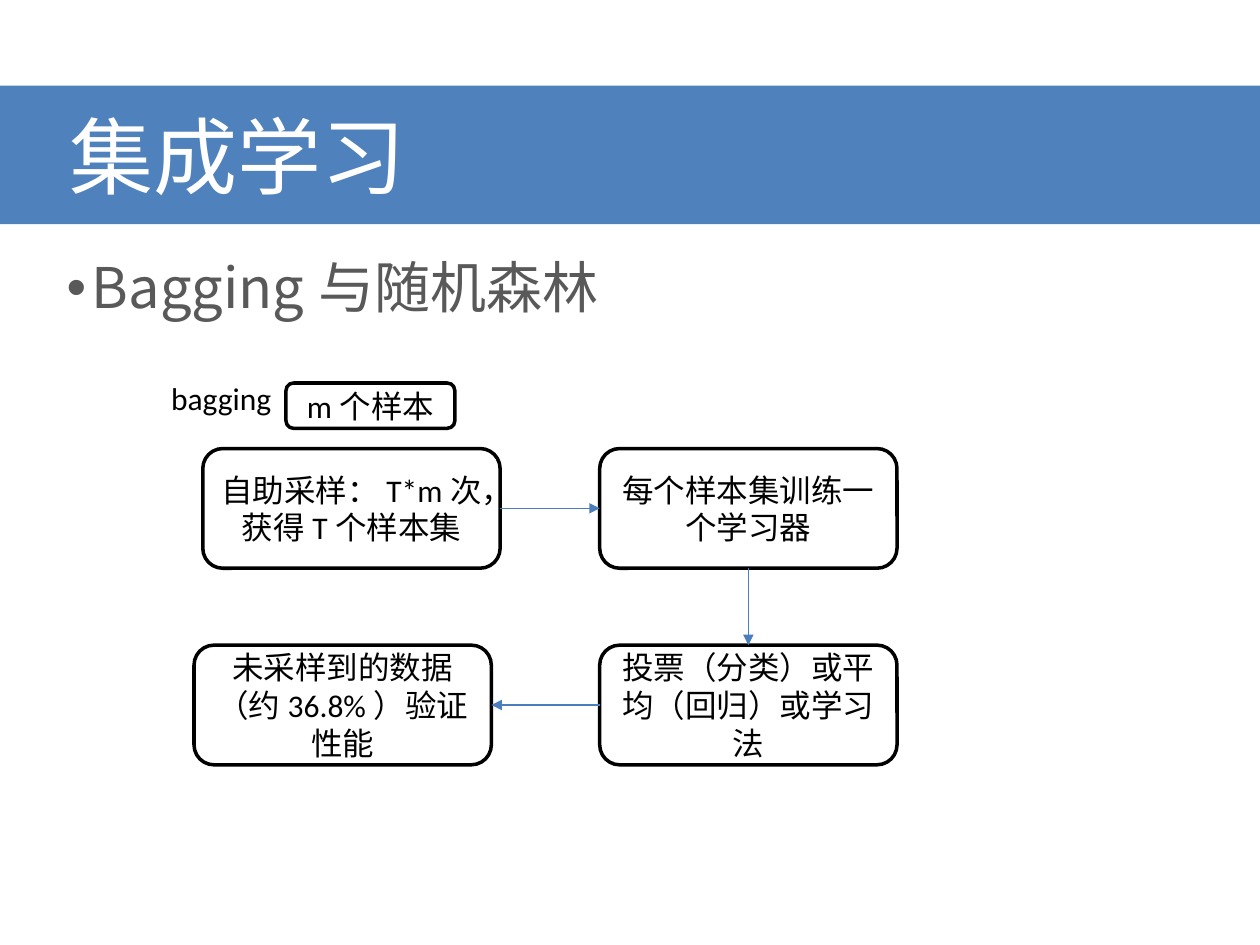
"""Build the ensemble learning slide with its bagging flow chart."""
from lxml.etree import SubElement
from pptx import Presentation
from pptx.dml.color import RGBColor
from pptx.enum.shapes import MSO_CONNECTOR as Line, MSO_SHAPE as Shape
from pptx.enum.text import MSO_ANCHOR as Anchor, PP_ALIGN as Align
from pptx.oxml.ns import qn
from pptx.util import Inches, Pt

WIDTH, HEIGHT = 10, 7.5
CJK_FONT, LATIN_FONT = "Noto Sans CJK SC", "Calibri"
BLUE, ARROW_BLUE, GREY, BLACK, WHITE = "4F81BD", "4B7EBC", "595959", "000000", "FFFFFF"

TITLE = "集成学习"
TOPIC = "Bagging与随机森林"
LABEL = "bagging"
SAMPLE = "m个样本"
COLUMNS, ROWS = (1.61, 4.76), (3.56, 5.12)
STEP_SIZE = (2.36, 0.95)
STEPS = {
    "sampling": ("自助采样：T*m次，获得T个样本集", 0, 0, 0),
    "training": ("每个样本集训练一个学习器", 1, 0, 0),
    "combining": ("投票（分类）或平均（回归）或学习法", 1, 1, 0),
    "validation": ("未采样到的数据（约36.8%）验证性能", 0, 1, -0.07),
}
TOP, LEFT, BOTTOM, RIGHT = range(4)
ARROWS = [
    ("sampling", RIGHT, "training", LEFT),
    ("training", BOTTOM, "combining", TOP),
    ("combining", LEFT, "validation", RIGHT),
]


def color(value):
    return RGBColor.from_string(value)


def write(shape, text, size=18, font=LATIN_FONT, ink=BLACK, align=Align.CENTER, **frame_format):
    frame = shape.text_frame
    settings = {"word_wrap": True, "vertical_anchor": Anchor.MIDDLE, **frame_format}
    for name, value in settings.items():
        setattr(frame, name, value)
    para = frame.paragraphs[0]
    para.alignment = align
    span = para.add_run()
    span.text = text
    for name, value in {"size": Pt(size), "name": font}.items():
        setattr(span.font, name, value)
    span.font.color.rgb = color(ink)
    SubElement(span.font._element, qn("a:ea"), typeface=CJK_FONT)
    return para


def add_box(page, kind, area, fill=None, outline=None):
    box = page.shapes.add_shape(kind, *map(Inches, area))
    box.shadow.inherit = False
    if fill:
        box.fill.solid()
        box.fill.fore_color.rgb = color(fill)
    else:
        box.fill.background()
    if outline:
        box.line.color.rgb = color(outline)
        box.line.width = Pt(2)
    else:
        box.line.fill.background()
    return box


def add_text(page, area, text, **options):
    box = page.shapes.add_textbox(*map(Inches, area))
    return write(box, text, align=Align.LEFT, **options)


def add_bullet(para):
    properties = para._p.get_or_add_pPr()
    indent = Inches(0.2)
    for name, value in {"marL": indent, "indent": -indent}.items():
        properties.set(name, str(value))
    SubElement(properties, qn("a:buFont"), typeface="Arial")
    SubElement(properties, qn("a:buChar"), char="•")


def add_arrow(page, start, start_side, end, end_side):
    arrow = page.shapes.add_connector(Line.STRAIGHT, 0, 0, 0, 0)
    arrow.begin_connect(start, start_side)
    arrow.end_connect(end, end_side)
    arrow.line.color.rgb = color(ARROW_BLUE)
    arrow.line.width = Pt(0.75)
    SubElement(arrow.line._get_or_add_ln(), qn("a:tailEnd"), type="triangle")
    SubElement(arrow._element.spPr, qn("a:effectLst"))


def main():
    deck = Presentation()
    deck.slide_width, deck.slide_height = Inches(WIDTH), Inches(HEIGHT)
    page = deck.slides.add_slide(deck.slide_layouts[6])

    banner = add_box(page, Shape.RECTANGLE, (0, 0.68, WIDTH, 1.1), fill=BLUE)
    write(banner, TITLE, 48, CJK_FONT, WHITE, Align.LEFT, margin_left=Inches(0.55))
    add_bullet(add_text(page, (0.43, 1.96, 5.51, 0.63), TOPIC, size=32, font=CJK_FONT, ink=GREY))
    add_text(page, (1.26, 2.96, 1.01, 0.4), LABEL, word_wrap=False, vertical_anchor=Anchor.TOP)
    sample = add_box(page, Shape.ROUNDED_RECTANGLE, (2.27, 3.04, 1.34, 0.36), outline=BLACK)
    write(sample, SAMPLE)

    boxes = {}
    for name, (text, column, row, shift) in STEPS.items():
        area = (COLUMNS[column] + shift, ROWS[row], *STEP_SIZE)
        boxes[name] = add_box(page, Shape.ROUNDED_RECTANGLE, area, outline=BLACK)
        write(boxes[name], text)
    for start, start_side, end, end_side in ARROWS:
        add_arrow(page, boxes[start], start_side, boxes[end], end_side)

    deck.save("out.pptx")


if __name__ == "__main__":
    main()
